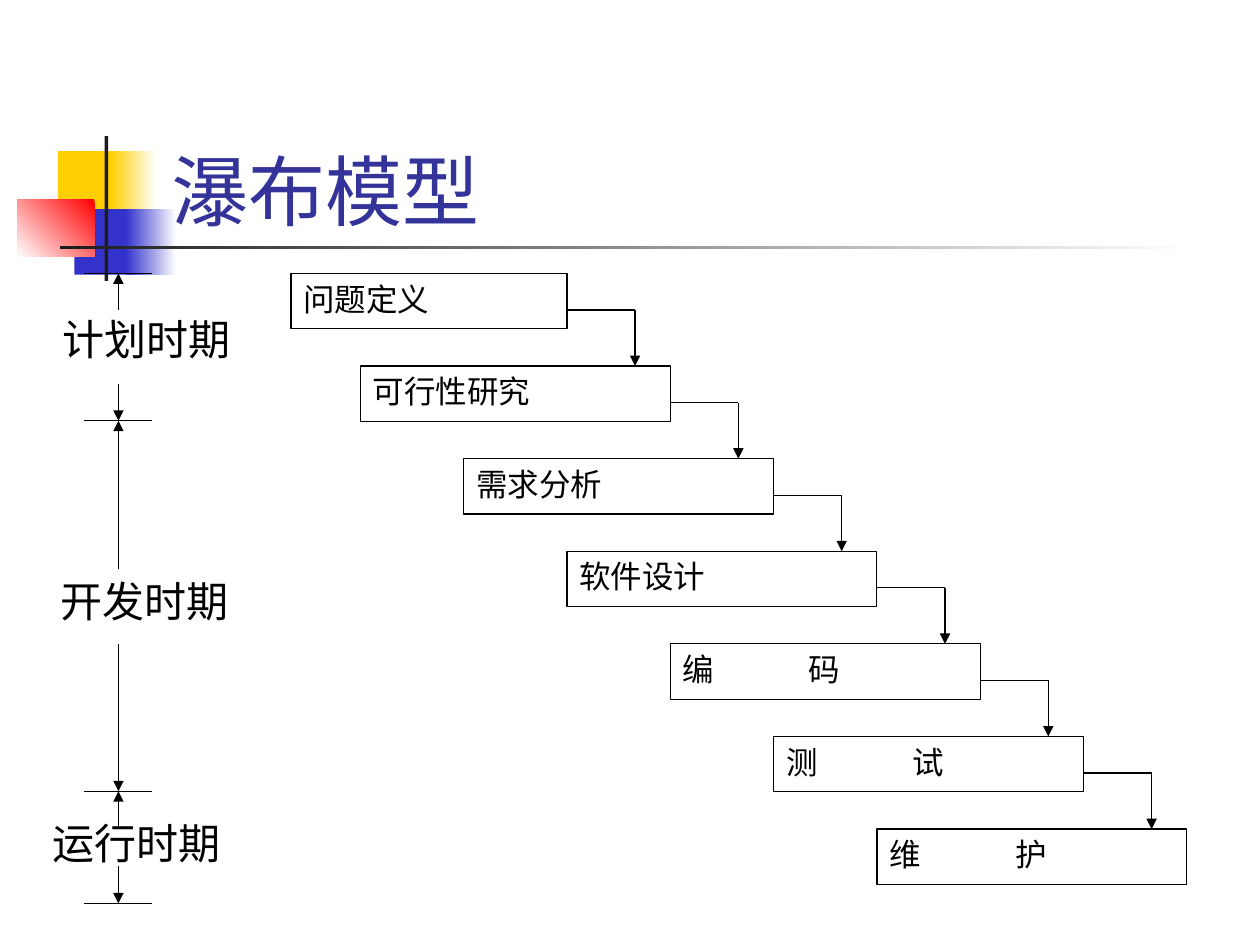
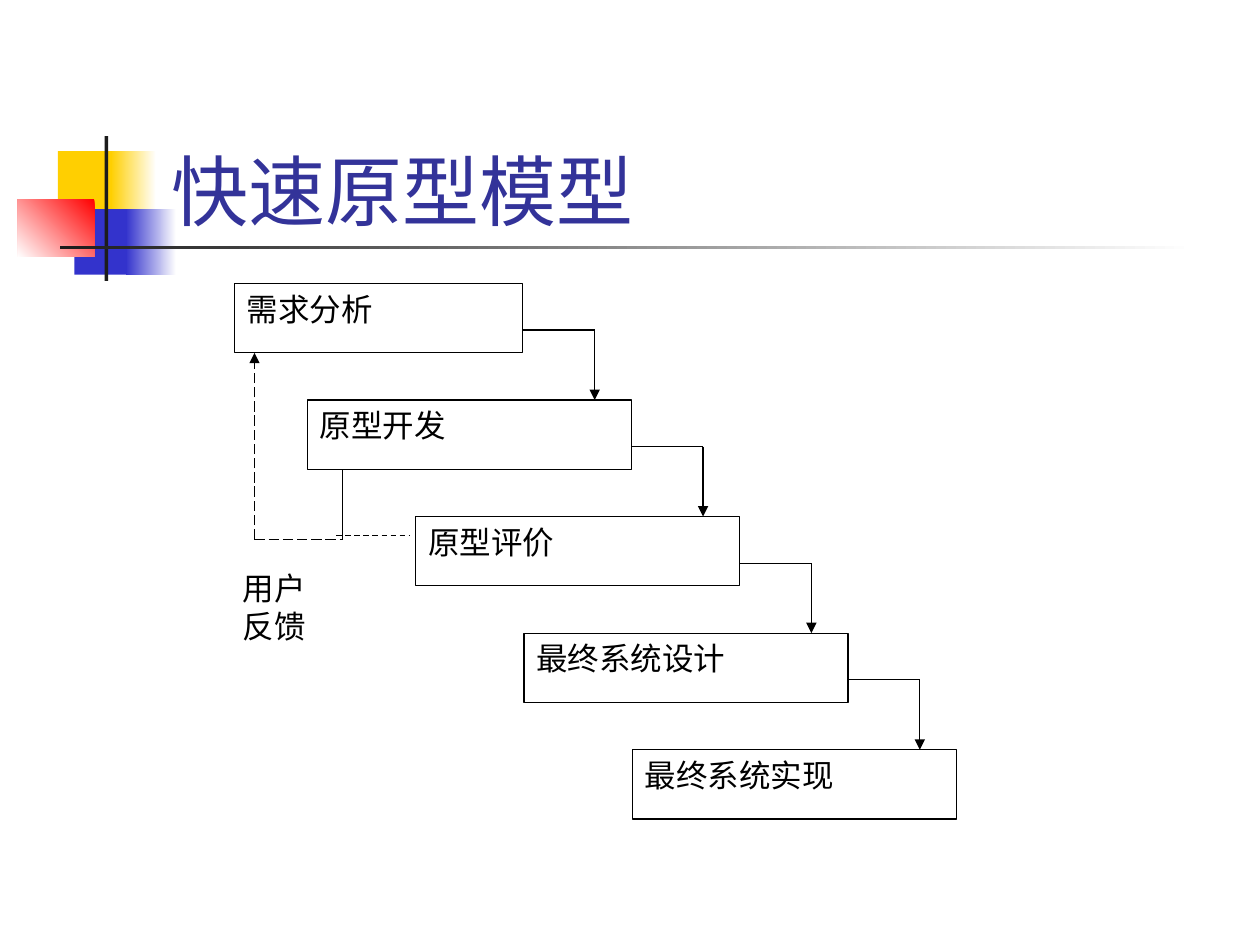
from lxml import etree
from pptx import Presentation
from pptx.dml.color import RGBColor
from pptx.enum.dml import MSO_LINE
from pptx.enum.shapes import MSO_CONNECTOR, MSO_SHAPE
from pptx.enum.text import MSO_ANCHOR, MSO_AUTO_SIZE, PP_ALIGN
from pptx.oxml.ns import qn
from pptx.util import Inches, Pt

WHITE, BLACK, CHARCOAL = "FFFFFF", "000000", "1C1C1C"
YELLOW, BLUE, RED, TITLE_BLUE = "FFCF01", "3333CC", "FF0000", "333399"

STEP_FONT = {"name": "Times New Roman", "size": Pt(18)}
LABEL_FONT = {"name": "Lato", "size": Pt(24)}
TITLE_FONT = {"name": "Lato", "size": Pt(44)}
STEP_TAB = 1.0

EMBLEM = [
    ((0.46, 1.2, 0.48, 0.52), (YELLOW,), 0),
    ((0.88, 1.2, 0.36, 0.52), (WHITE, YELLOW), 180),
    ((0.59, 1.66, 0.46, 0.52), (BLUE,), 0),
    ((1, 1.66, 0.4, 0.52), (WHITE, BLUE), 180),
    ((0.14, 1.58, 0.61, 0.46), (RED, WHITE), 225),
    ((0.83, 1.08, 0.03, 1.15), (CHARCOAL,), 0),
    ((0.48, 1.95, 9, 0.03), (WHITE, CHARCOAL), 180),
]


def color(value):
    return RGBColor.from_string(value)


def apply(target, values):
    for name, value in values.items():
        setattr(target, name, value)


class SlideBuilder:
    def __init__(self, deck):
        self.deck = deck
        self.page = None

    def start(self, title):
        self.page = self.deck.slides.add_slide(self.deck.slide_layouts[6])
        for place, colors, angle in EMBLEM:
            self.block(place, colors, angle)
        self.label(title, (1.26, 0.67, 8.52, 1.25), TITLE_FONT, TITLE_BLUE,
                   {"word_wrap": True, "vertical_anchor": MSO_ANCHOR.BOTTOM})

    def block(self, place, colors=(WHITE,), angle=0, outline=False):
        shape = self.page.shapes.add_shape(MSO_SHAPE.RECTANGLE, *map(Inches, place))
        shape.shadow.inherit = False
        if len(colors) == 1:
            shape.fill.solid()
            shape.fill.fore_color.rgb = color(colors[0])
        else:
            shape.fill.gradient()
            shape.fill.gradient_angle = angle
            for stop, value in zip(shape.fill.gradient_stops, colors):
                stop.color.rgb = color(value)
        if outline:
            shape.line.color.rgb = color(BLACK)
            shape.line.width = Pt(0.75)
        else:
            shape.line.fill.background()
        return shape

    def add_text(self, frame, lines, font, ink=BLACK, align=PP_ALIGN.LEFT):
        for index, text in enumerate(lines):
            para = frame.add_paragraph() if index else frame.paragraphs[0]
            para.alignment = align
            span = para.add_run()
            span.text = text
            apply(span.font, font)
            span.font.color.rgb = color(ink)
            if "\t" in text:
                tabs = etree.SubElement(para._p.get_or_add_pPr(), qn("a:tabLst"))
                etree.SubElement(tabs, qn("a:tab"), pos=str(Inches(STEP_TAB)), algn="l")

    def label(self, text, place, font, ink, frame_format):
        box = self.page.shapes.add_textbox(*map(Inches, place))
        apply(box.text_frame, frame_format)
        self.add_text(box.text_frame, [text], font, ink)

    def step(self, lines, place, outline=True):
        box = self.block(place, outline=outline)
        apply(box.text_frame, {"word_wrap": True, "vertical_anchor": MSO_ANCHOR.TOP})
        self.add_text(box.text_frame, lines, STEP_FONT, align=PP_ALIGN.JUSTIFY)

    def line(self, start, end, arrow=False, dash=None):
        connector = self.page.shapes.add_connector(
            MSO_CONNECTOR.STRAIGHT, *map(Inches, start + end))
        connector.line.color.rgb = color(BLACK)
        apply(connector.line, {"width": Pt(0.75), "dash_style": dash})
        properties = connector.element.spPr
        if arrow:
            etree.SubElement(properties.find(qn("a:ln")), qn("a:tailEnd"), type="triangle")
        etree.SubElement(properties, qn("a:effectLst"))

    def staircase(self, steps, right, top, first_width, width, height,
                  stride, drop, reach, elbow):
        for index, text in enumerate(steps):
            edge, level = right + index * stride, top + index * drop
            span = width if index else first_width
            self.step([text], (edge - span, level, span, height))
            if index < len(steps) - 1:
                corner = (edge + reach, level + elbow)
                self.line((edge, level + elbow), corner)
                self.line(corner, (edge + reach, level + drop), arrow=True)

    def timeline(self, axis, ticks, periods):
        for tick in ticks:
            self.line((axis - 0.27, tick), (axis + 0.27, tick))
        for start, end, (text, left, top, gap_start, gap_end) in zip(ticks, ticks[1:], periods):
            self.line((axis, gap_start), (axis, start), arrow=True)
            self.line((axis, gap_end), (axis, end), arrow=True)
            self.label(text, (left, top, 1.53, 0.5), LABEL_FONT, BLACK,
                       {"word_wrap": False, "auto_size": MSO_AUTO_SIZE.SHAPE_TO_FIT_TEXT})


def waterfall_slide(builder):
    builder.start("瀑布模型")
    builder.staircase(
        ["问题定义", "可行性研究", "需求分析", "软件设计", "编\t码", "测\t试", "维\t护"],
        right=4.5, top=2.17, first_width=2.19, width=2.46, height=0.44,
        stride=0.82, drop=0.735, reach=0.54, elbow=0.29)
    builder.timeline(0.94, [2.17, 3.34, 6.28, 7.17], [
        ("计划时期", 0.4, 2.44, 2.46, 3.05),
        ("开发时期", 0.38, 4.52, 4.52, 5.11),
        ("运行时期", 0.32, 6.44, 6.58, 6.87),
    ])


def prototype_slide(builder):
    builder.start("快速原型模型")
    builder.staircase(
        ["需求分析", "原型开发", "原型评价", "最终系统设计", "最终系统实现"],
        right=4.15, top=2.25, first_width=2.29, width=2.57, height=0.55,
        stride=0.86, drop=0.925, reach=0.57, elbow=0.37)
    feedback_left, feedback_right, feedback_level = 2.02, 2.72, 4.28
    corner = (feedback_left, feedback_level)
    builder.line((feedback_right, feedback_level), (feedback_right, 3.73))
    builder.line(corner, (feedback_right, feedback_level), dash=MSO_LINE.LONG_DASH)
    builder.line(corner, (feedback_left, 2.8), arrow=True, dash=MSO_LINE.LONG_DASH)
    builder.step(["用户", "反馈"], (1.83, 4.47, 1.43, 0.92), outline=False)
    builder.line((2.67, 4.25), (3.25, 4.25), dash=MSO_LINE.DASH)


def main():
    deck = Presentation()
    apply(deck, {"slide_width": Inches(10), "slide_height": Inches(7.5)})
    builder = SlideBuilder(deck)
    waterfall_slide(builder)
    prototype_slide(builder)
    deck.save("out.pptx")


if __name__ == "__main__":
    main()
